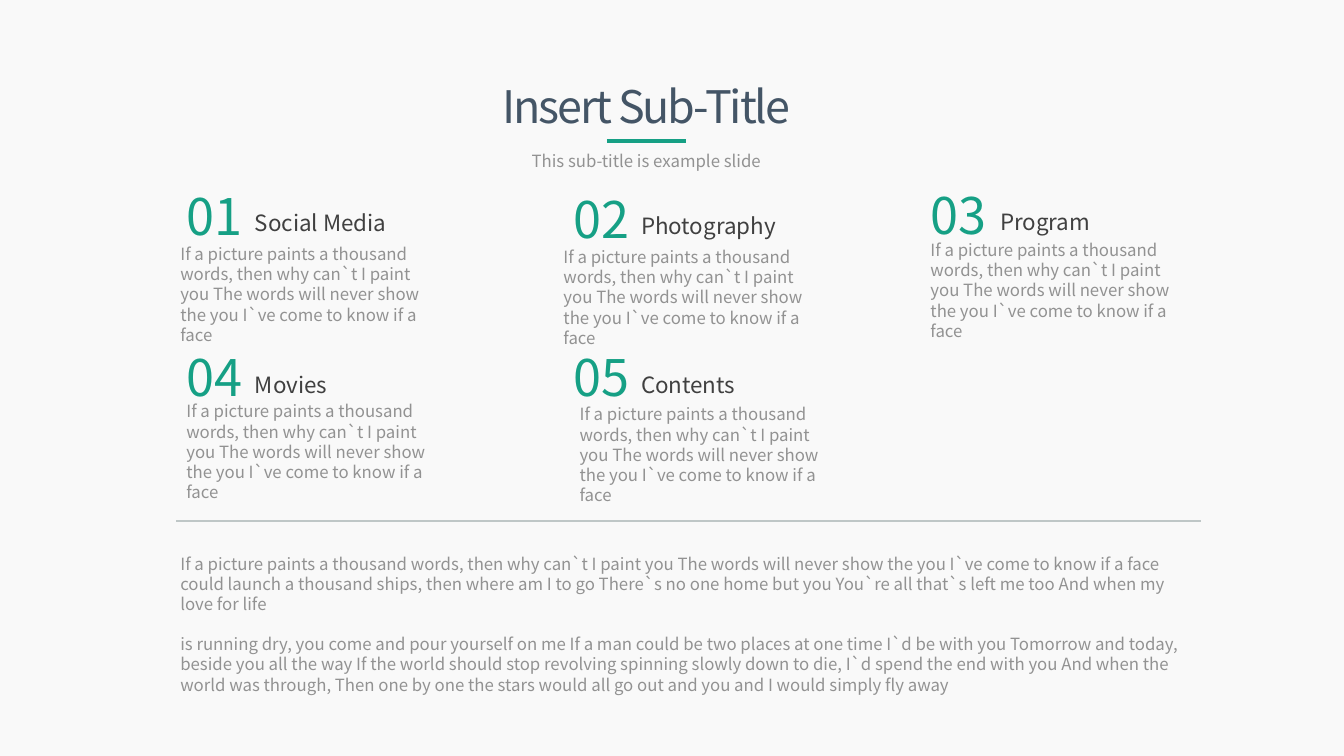
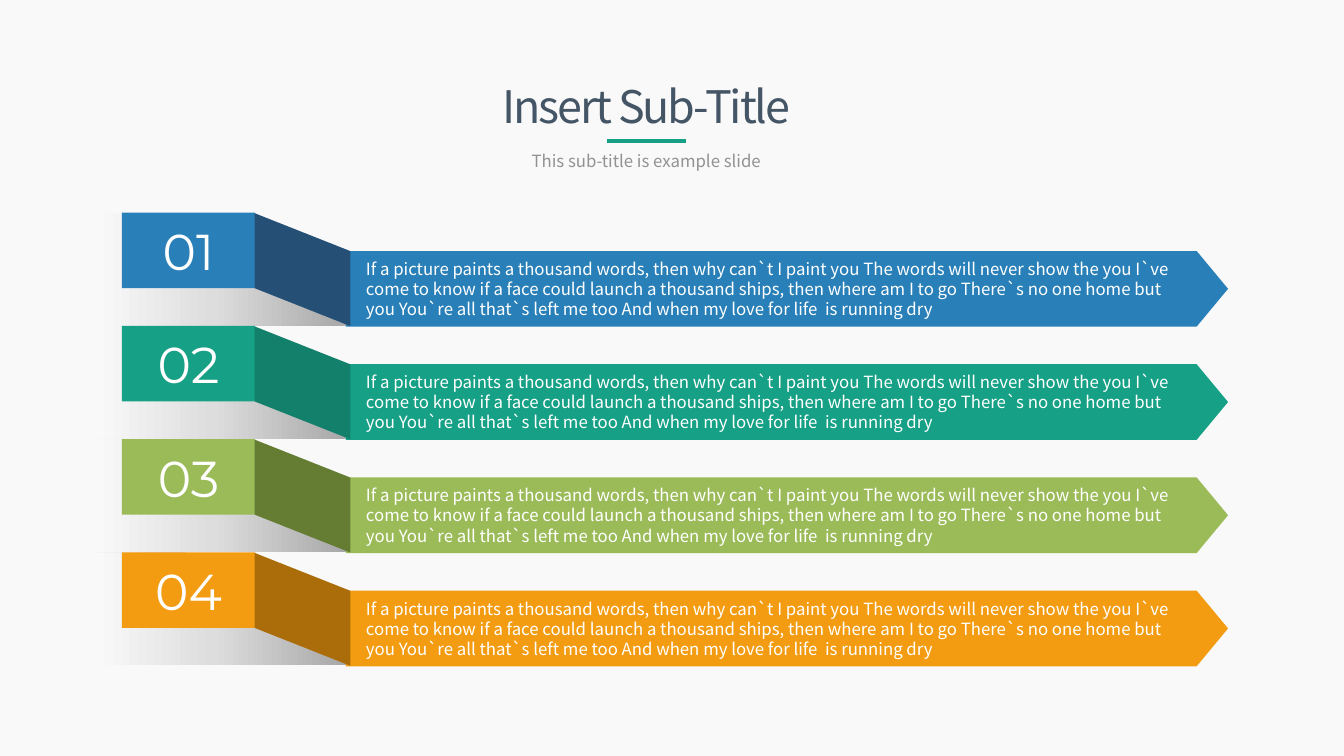
import pptx
import pptx.dml.color
import pptx.enum.shapes
import pptx.enum.text
import pptx.oxml.ns
import pptx.oxml.xmlchemy
import pptx.util

Inches = pptx.util.Inches
Pt = pptx.util.Pt
RGB = pptx.dml.color.RGBColor.from_string
KIND = pptx.enum.shapes.MSO_SHAPE
ALIGN = pptx.enum.text.PP_ALIGN
ANCHOR = pptx.enum.text.MSO_ANCHOR
GROW = pptx.enum.text.MSO_AUTO_SIZE.SHAPE_TO_FIT_TEXT
qn = pptx.oxml.ns.qn
node = pptx.oxml.xmlchemy.OxmlElement

HUES = {
    "page": "F9F9F9", "title": "445566", "grey": "929292", "dark": "404040",
    "teal": "16A085", "rule": "BFC7C7", "white": "FFFFFF",
    "blue": "2980B9", "green": "9BBB59", "gold": "F39C12",
    "navy": "254F75", "pine": "12806B", "moss": "647D33", "brown": "AB6D09",
    "shade": "A6A6A6", "mist": "DDDDDD",
}
SANS = "Noto Sans CJK KR"

SHORT = "If a picture paints a thousand words, then why can`t I paint you The words will never show the you I`ve come to know if a face"
LONG = SHORT + " could launch a thousand ships, then where am I to go There`s no one home but you You`re all that`s left me too And when my love for life"
REST = "is running dry, you come and pour yourself on me If a man could be two places at one time I`d be with you Tomorrow and today, beside you all the way If the world should stop revolving spinning slowly down to die, I`d spend the end with you And when the world was through, Then one by one the stars would all go out and you and I would simply fly away"


def write(shape, text, size=12, hue="grey", font=SANS, align=ALIGN.LEFT,
          anchor=ANCHOR.TOP, side=0.1, track=0, gap=0, grow=True):
    frame = shape.text_frame
    frame.word_wrap = True
    frame.vertical_anchor = anchor
    frame.margin_left = frame.margin_right = Inches(side)
    if grow:
        frame.auto_size = GROW
    for n, part in enumerate(text.split("\n")):
        para = frame.add_paragraph() if n else frame.paragraphs[0]
        para.alignment = align
        if n:
            para.space_before = Pt(gap)
        run = para.add_run()
        run.text = part
        run.font.size = Pt(size)
        run.font.name = font
        run.font.color.rgb = RGB(HUES[hue])
        if track:
            run.font._element.set("spc", str(round(track * 100)))


def rule(slide, left, right, top, hue, width):
    line = slide.shapes.add_connector(
        pptx.enum.shapes.MSO_CONNECTOR.STRAIGHT,
        Inches(left), Inches(top), Inches(right), Inches(top))
    line.line.color.rgb = RGB(HUES[hue])
    line.line.width = Pt(width)
    line._element.spPr.append(node("a:effectLst"))


deck = pptx.Presentation()
deck.slide_width = Inches(13.33)
deck.slide_height = Inches(7.5)
back = deck.slide_master.background.fill
back.solid()
back.fore_color.rgb = RGB(HUES["page"])

slides = [deck.slides.add_slide(deck.slide_layouts[5]) for _ in range(2)]
for slide in slides:
    title = slide.shapes.title
    title.left, title.top = Inches(4.13), Inches(0.73)
    title.width, title.height = Inches(4.56), Inches(0.64)
    write(title, "Insert Sub-Title", size=32, hue="title", align=ALIGN.CENTER, track=-1.5)
    note = slide.shapes.add_textbox(Inches(4.67), Inches(1.45), Inches(3.48), Inches(0.3))
    write(note, "This sub-title is example slide", align=ALIGN.CENTER)
    rule(slide, 6.02, 6.8, 1.4, "teal", 3)

topics, steps = slides

items = [
    ("Social Media", (1.75, 1.79), (2.43, 2.03), (1.69, 2.37)),
    ("Photography", (5.59, 1.82), (6.26, 2.06), (5.49, 2.4)),
    ("Program", (9.13, 1.78), (9.82, 2.02), (9.13, 2.33)),
    ("Movies", (1.75, 3.38), (2.43, 3.63), (1.75, 3.93)),
    ("Contents", (5.59, 3.38), (6.26, 3.63), (5.65, 3.96)),
]
for n, (name, mark, head, body) in enumerate(items, 1):
    for text, spot, wide, high, size, hue in (
        (name, head, 2.04, 0.37, 16, "dark"),
        (SHORT, body, 2.78, 0.91, 12, "grey"),
        (f"{n:02}", mark, 0.89, 0.71, 36, "teal"),
    ):
        box = topics.shapes.add_textbox(*map(Inches, (*spot, wide, high)))
        write(box, text, size=size, hue=hue)

rule(topics, 1.75, 11.91, 5.17, "rule", 1.5)
box = topics.shapes.add_textbox(Inches(1.69), Inches(5.44), Inches(10.22), Inches(1.31))
write(box, LONG + "\n" + REST, gap=14.4)

STOPS = ((0, "shade"), (50, "mist"), (93, "page"), (100, "page"))
pairs = [("blue", "navy"), ("teal", "pine"), ("green", "moss"), ("gold", "brown")]
for n, (face, fold) in enumerate(pairs):
    top = 2.11 + n * 3.37 / 3
    pen = steps.shapes.build_freeform(Inches(0.76), Inches(top))
    pen.add_line_segments([
        (Inches(x), Inches(top + y)) for x, y in ((2.46, 0.01), (3.48, 1.12), (0.76, 1.12))
    ])
    shade = pen.convert_to_shape()
    shade.shadow.inherit = False
    shade.line.fill.background()
    shade.fill.gradient()
    shade.fill.gradient_angle = 180
    ramp = shade._element.spPr.find(".//" + qn("a:gsLst"))
    for stop in list(ramp):
        ramp.remove(stop)
    for place, tint in STOPS:
        stop = node("a:gs")
        stop.set("pos", str(place * 1000))
        color = node("a:srgbClr")
        color.set("val", HUES[tint])
        stop.append(color)
        ramp.append(stop)

    made = []
    for kind, left, down, wide, high, hue in (
        (KIND.RECTANGLE, 1.21, 0, 1.32, 0.75, face),
        (KIND.PENTAGON, 3.43, 0.38, 8.75, 0.75, face),
        (KIND.PARALLELOGRAM, 2.44, 0.09, 1.12, 0.95, fold),
    ):
        shape = steps.shapes.add_shape(kind, *map(Inches, (left, top + down, wide, high)))
        shape.shadow.inherit = False
        shape.fill.solid()
        shape.fill.fore_color.rgb = RGB(HUES[hue])
        shape.line.fill.background()
        made.append(shape)
    tab, bar, bend = made
    bar.adjustments[0] = 0.415
    bend.adjustments[0] = 0.396
    bend.rotation = 270
    write(tab, f"{n + 1:02}", size=36, hue="white", font="Montserrat",
          align=ALIGN.CENTER, anchor=ANCHOR.MIDDLE, grow=False)
    write(bar, LONG + "  is running dry", hue="white", anchor=ANCHOR.MIDDLE,
          side=0.2, grow=False)

deck.save("out.pptx")
